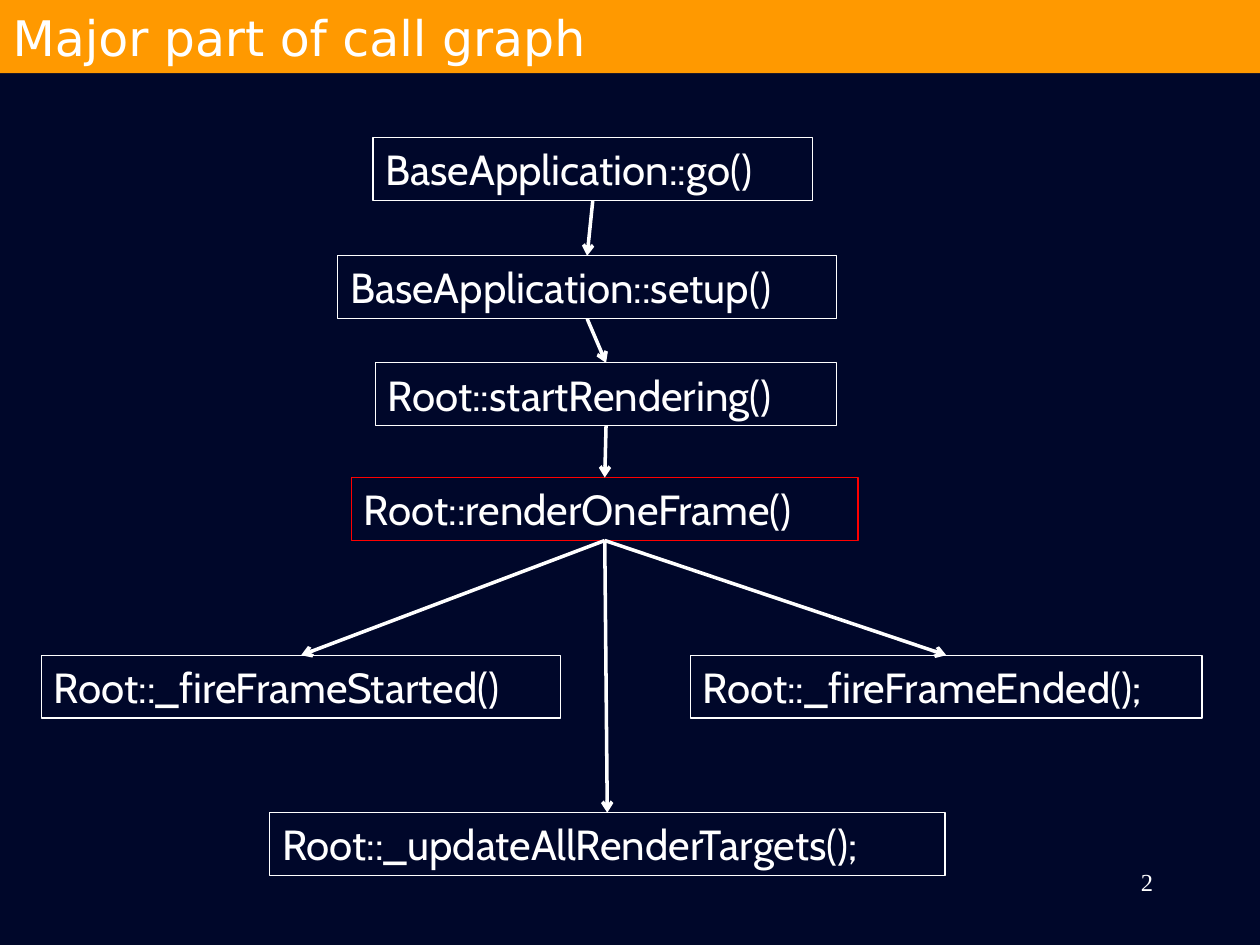
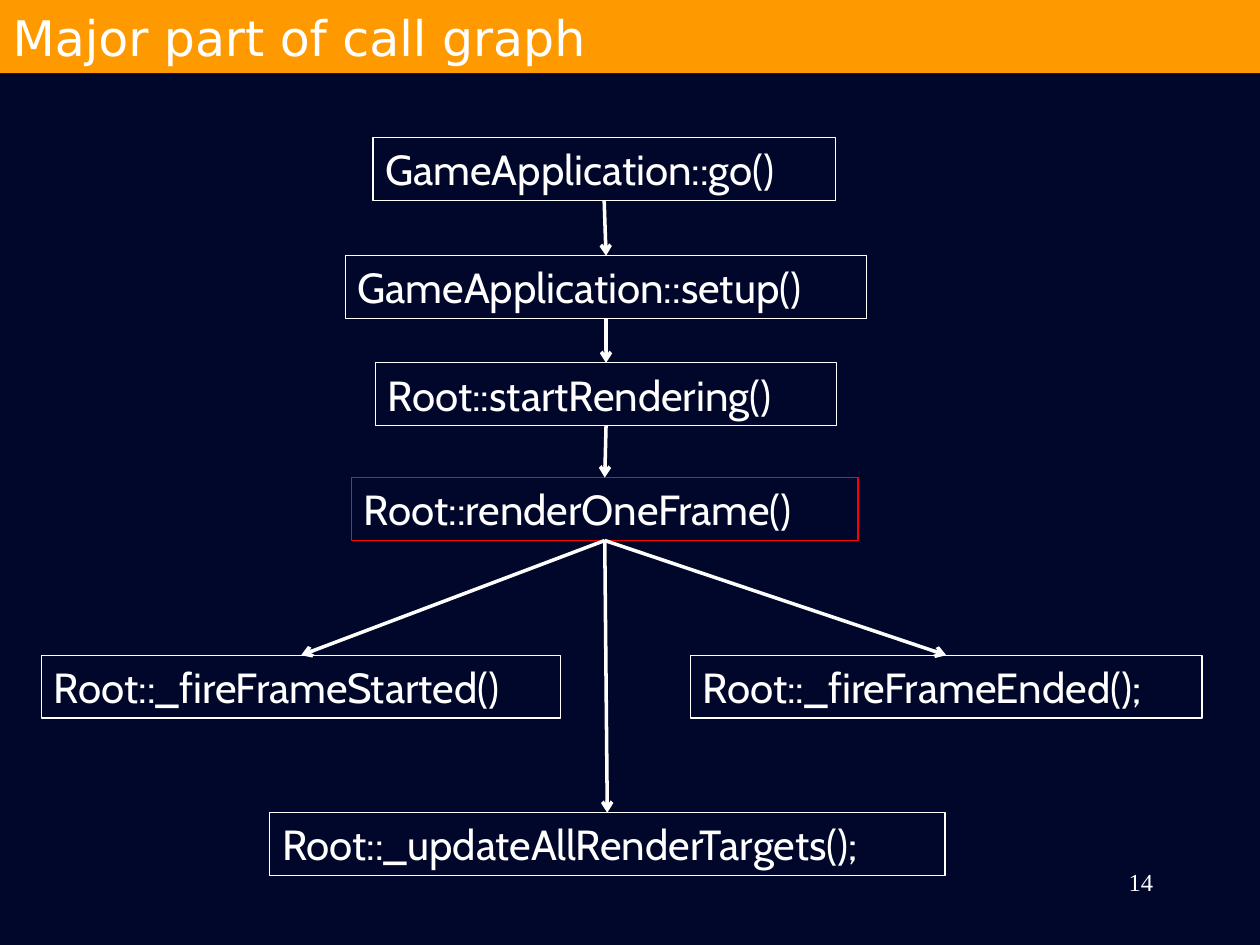
from dataclasses import dataclass

from lxml.etree import SubElement
from pptx import Presentation
from pptx.dml.color import RGBColor
from pptx.enum.shapes import MSO_CONNECTOR, MSO_SHAPE
from pptx.enum.text import MSO_ANCHOR, MSO_AUTO_SIZE, PP_ALIGN
from pptx.oxml.ns import qn
from pptx.util import Inches, Pt


@dataclass(frozen=True)
class Theme:
    background: RGBColor = RGBColor(0x00, 0x07, 0x2A)
    band: RGBColor = RGBColor(0xFF, 0x99, 0x00)
    ink: RGBColor = RGBColor(0xFF, 0xFF, 0xFF)
    highlight: RGBColor = RGBColor(0xFF, 0x00, 0x00)
    title_font: str = "DejaVu Sans"
    body_font: str = "Cabin"
    number_font: str = "Times New Roman"
    title_size: Pt = Pt(28)
    body_size: Pt = Pt(24)
    number_size: Pt = Pt(14)
    box_line: Pt = Pt(0.75)
    arrow_line: Pt = Pt(2)


THEME = Theme()
TITLE_ONLY = 5
TOP, BOTTOM = 0, 2
BOX_HEIGHT = 0.5
TITLE = "Major part of call graph"

# Calls common to both graphs: key, text, left, top, width
SHARED_CALLS = [
    ("start", "Root::startRendering()", 2.98, 2.88, 3.66),
    ("frame", "Root::renderOneFrame()", 2.79, 3.79, 4.02),
    ("update", "Root::_updateAllRenderTargets();", 2.14, 6.45, 5.36),
    ("started", "Root::_fireFrameStarted()", 0.33, 5.2, 4.12),
    ("ended", "Root::_fireFrameEnded();", 5.48, 5.2, 4.06),
]
CALL_ORDER = [
    ("go", "setup"),
    ("setup", "start"),
    ("start", "frame"),
    ("frame", "started"),
    ("frame", "update"),
    ("frame", "ended"),
]


def write(tf, text, font, size, align=PP_ALIGN.LEFT):
    tf.word_wrap = True
    tf.auto_size = MSO_AUTO_SIZE.NONE
    p = tf.paragraphs[0]
    p.alignment = align
    r = p.add_run()
    r.text = text
    r.font.name = font
    r.font.size = size
    r.font.color.rgb = THEME.ink
    return p


def add_title(slide, text):
    title = slide.shapes.title
    title.left, title.top = Inches(0), Inches(0)
    title.width, title.height = Inches(10), Inches(0.58)
    title.fill.solid()
    title.fill.fore_color.rgb = THEME.band
    title.text_frame.vertical_anchor = MSO_ANCHOR.MIDDLE
    write(title.text_frame, text, THEME.title_font, THEME.title_size)


def add_page_number(slide, number):
    sp = slide.shapes.add_textbox(
        Inches(7.17), Inches(6.83), Inches(2.08), Inches(0.5))
    p = write(sp.text_frame, str(number), THEME.number_font,
              THEME.number_size, PP_ALIGN.RIGHT)
    p.space_before = Pt(8.8)


def add_call_box(slide, text, left, top, width, color):
    sp = slide.shapes.add_shape(
        MSO_SHAPE.RECTANGLE,
        Inches(left), Inches(top), Inches(width), Inches(BOX_HEIGHT))
    sp.shadow.inherit = False
    sp.fill.background()
    sp.line.color.rgb = color
    sp.line.width = THEME.box_line
    sp.text_frame.vertical_anchor = MSO_ANCHOR.TOP
    write(sp.text_frame, text, THEME.body_font, THEME.body_size)
    return sp


def add_call_arrow(slide, caller, callee):
    """Join the caller's bottom side to the callee's top side."""
    arrow = slide.shapes.add_connector(MSO_CONNECTOR.STRAIGHT, 0, 0, 0, 0)
    arrow.begin_connect(caller, BOTTOM)
    arrow.end_connect(callee, TOP)
    arrow.line.color.rgb = THEME.ink
    arrow.line.width = THEME.arrow_line
    SubElement(arrow.line._get_or_add_ln(), qn("a:tailEnd"), type="arrow")
    SubElement(arrow._element.spPr, qn("a:effectLst"))


def add_call_graph_slide(prs, number, entry_calls):
    slide = prs.slides.add_slide(prs.slide_layouts[TITLE_ONLY])
    add_page_number(slide, number)
    add_title(slide, TITLE)
    boxes = {}
    for key, text, left, top, width in entry_calls + SHARED_CALLS:
        color = THEME.highlight if key == "frame" else THEME.ink
        boxes[key] = add_call_box(slide, text, left, top, width, color)
    for caller, callee in CALL_ORDER:
        add_call_arrow(slide, boxes[caller], boxes[callee])


def main():
    prs = Presentation()
    prs.slide_width, prs.slide_height = Inches(10), Inches(7.5)
    background = prs.slide_master.background.fill
    background.solid()
    background.fore_color.rgb = THEME.background

    add_call_graph_slide(prs, 2, [
        ("go", "BaseApplication::go()", 2.96, 1.09, 3.49),
        ("setup", "BaseApplication::setup()", 2.68, 2.03, 3.96),
    ])
    add_call_graph_slide(prs, 14, [
        ("go", "GameApplication::go()", 2.96, 1.09, 3.67),
        ("setup", "GameApplication::setup()", 2.74, 2.03, 4.14),
    ])
    prs.save("out.pptx")


if __name__ == "__main__":
    main()
